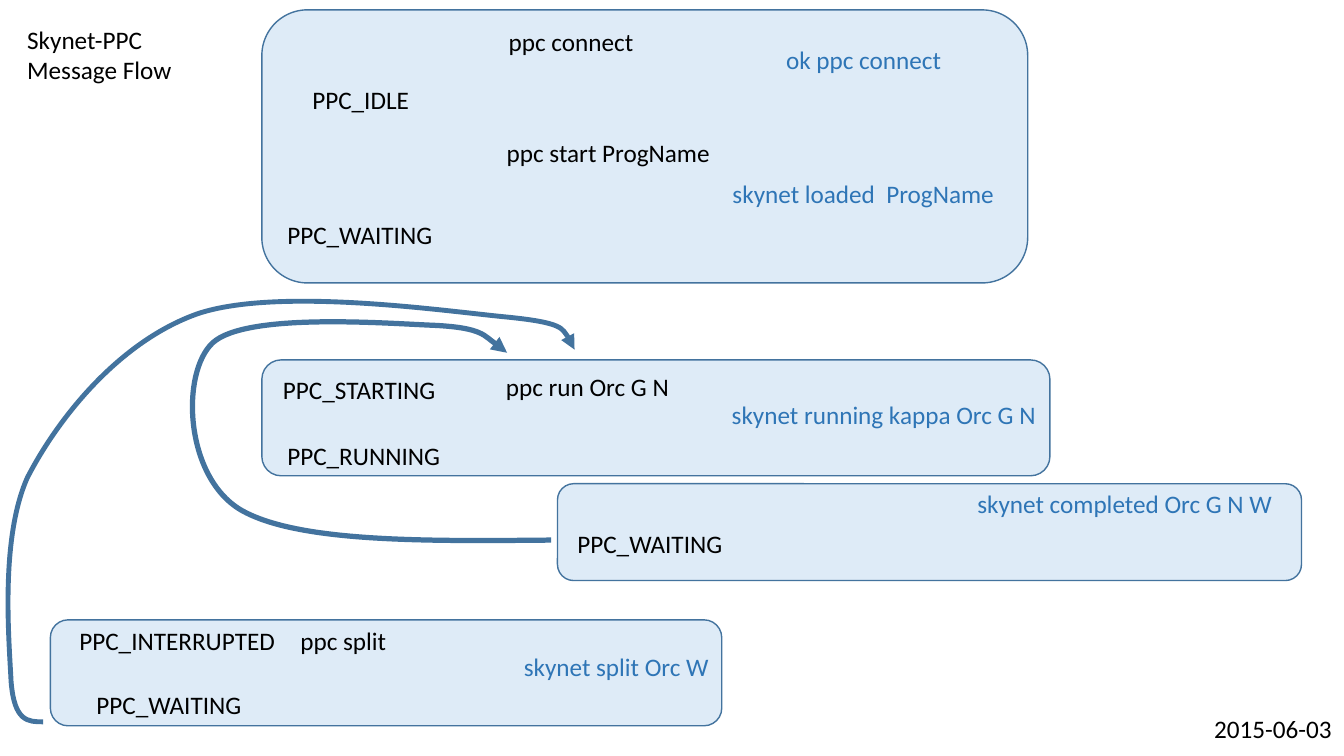
from pptx import Presentation
from pptx.dml.color import RGBColor
from pptx.enum.shapes import MSO_SHAPE as Shape
from pptx.enum.text import MSO_ANCHOR as Anchor, MSO_AUTO_SIZE as AutoSize, PP_ALIGN as Align
from pptx.oxml.ns import qn
from pptx.oxml.xmlchemy import OxmlElement
from pptx.util import Cm, Pt

BLACK = RGBColor(0x00, 0x00, 0x00)
BLUE = RGBColor(0x2E, 0x75, 0xB6)
PALE_BLUE = RGBColor(0xDE, 0xEB, 0xF7)
OUTLINE = RGBColor(0x43, 0x73, 0x9E)

TITLE_ONLY = 5
LABEL_HEIGHT = 1.02

PHASES = [
    (6.6, 9.07, 19.86, 2.92),
    (6.6, 0.25, 19.3, 6.88),
    (14.05, 12.19, 18.75, 2.44),
    (1.27, 15.62, 16.92, 2.67),
]

PPC_LABELS = [
    ("ppc connect", 12.57, 0.53, 3.71),
    ("PPC_IDLE", 7.62, 2.01, 2.97),
    ("ppc start ProgName", 12.52, 3.33, 5.69),
    ("PPC_WAITING", 6.99, 5.41, 4.19),
    ("PPC_STARTING", 6.88, 9.3, 4.39),
    ("ppc run Orc G N", 12.5, 9.22, 4.67),
    ("PPC_RUNNING", 6.99, 10.97, 4.39),
    ("PPC_WAITING", 14.3, 13.18, 4.19),
    ("PPC_INTERRUPTED", 1.75, 15.62, 5.49),
    ("ppc split", 7.32, 15.62, 2.69),
    ("PPC_WAITING", 2.18, 17.25, 4.19),
    ("2015-06-03", 30.35, 17.86, 3.51),
]

SKYNET_LABELS = [
    ("ok ppc connect", 19.56, 0.99, 4.47),
    ("skynet loaded  ProgName", 18.21, 4.37, 7.19),
    ("skynet running kappa Orc G N", 18.19, 9.93, 8.28),
    ("skynet completed Orc G N W", 24.38, 12.19, 8.03),
    ("skynet split Orc W", 12.95, 16.28, 5.23),
]

COMPLETED_LOOP = [
    (13.89, 13.61),
    (10.69, 13.64), (7.49, 13.67), (6.07, 12.85),
    (4.65, 12.01), (4.55, 9.4), (5.36, 8.64),
    (6.2, 7.87), (9.73, 8.15), (10.95, 8.2),
    (12.19, 8.26), (12.78, 8.89), (12.78, 8.89),
]
SPLIT_LOOP = [
    (1.09, 18.19),
    (0.71, 18.19), (0.36, 18.19), (0.28, 17.17),
    (0.23, 16.13), (0, 13.59), (0.69, 12.04),
    (1.47, 10.52), (3.02, 8.59), (5, 7.9),
    (7.01, 7.24), (11.07, 7.82), (12.67, 7.98),
    (14.25, 8.13), (14.35, 8.48), (14.48, 8.81),
]


def write_text(shape, text, color):
    frame = shape.text_frame
    frame.text = text
    frame.word_wrap = False
    frame.vertical_anchor = Anchor.TOP
    for paragraph in frame.paragraphs:
        paragraph.alignment = Align.LEFT
        paragraph.line_spacing = 1.0
        paragraph.font.name = "Calibri"
        paragraph.font.size = Pt(18)
        paragraph.font.color.rgb = color


def set_title(slide, text):
    title = slide.shapes.title
    title.left, title.top = Cm(0.43), Cm(0.48)
    title.width, title.height = Cm(4.19), Cm(1.8)
    write_text(title, text, BLACK)
    title.text_frame.auto_size = AutoSize.NONE


def add_phase(slide, left, top, width, height):
    shape = slide.shapes.add_shape(
        Shape.ROUNDED_RECTANGLE, Cm(left), Cm(top), Cm(width), Cm(height))
    shape.shadow.inherit = False
    shape.fill.solid()
    shape.fill.fore_color.rgb = PALE_BLUE
    shape.line.color.rgb = OUTLINE
    shape.line.width = Pt(1)


def add_label(slide, text, left, top, width, color):
    box = slide.shapes.add_textbox(Cm(left), Cm(top), Cm(width), Cm(LABEL_HEIGHT))
    write_text(box, text, color)
    box.text_frame.auto_size = AutoSize.SHAPE_TO_FIT_TEXT


def bend_segments(shape):
    outline = shape.element.find(".//" + qn("a:path"))
    segments = outline.findall(qn("a:lnTo"))
    for first in range(0, len(segments), 3):
        curve = OxmlElement("a:cubicBezTo")
        for segment in segments[first:first + 3]:
            curve.append(segment[0])
            outline.remove(segment)
        outline.append(curve)


def add_curved_arrow(slide, points, weight):
    start, *controls = [(Cm(x), Cm(y)) for x, y in points]
    builder = slide.shapes.build_freeform(*start)
    builder.add_line_segments(controls, close=False)
    shape = builder.convert_to_shape()
    bend_segments(shape)
    shape.shadow.inherit = False
    shape.fill.background()
    shape.line.color.rgb = OUTLINE
    shape.line.width = Pt(weight)
    arrowhead = OxmlElement("a:tailEnd")
    arrowhead.set("type", "triangle")
    shape.element.spPr.find(qn("a:ln")).append(arrowhead)


def main():
    presentation = Presentation()
    presentation.slide_width = Cm(33.87)
    presentation.slide_height = Cm(19.05)
    slide = presentation.slides.add_slide(presentation.slide_layouts[TITLE_ONLY])
    set_title(slide, "Skynet-PPC\nMessage Flow")
    for phase in PHASES:
        add_phase(slide, *phase)
    for labels, color in ((PPC_LABELS, BLACK), (SKYNET_LABELS, BLUE)):
        for label in labels:
            add_label(slide, *label, color)
    add_curved_arrow(slide, COMPLETED_LOOP, 3.75)
    add_curved_arrow(slide, SPLIT_LOOP, 3.5)
    presentation.save("out.pptx")


if __name__ == "__main__":
    main()
